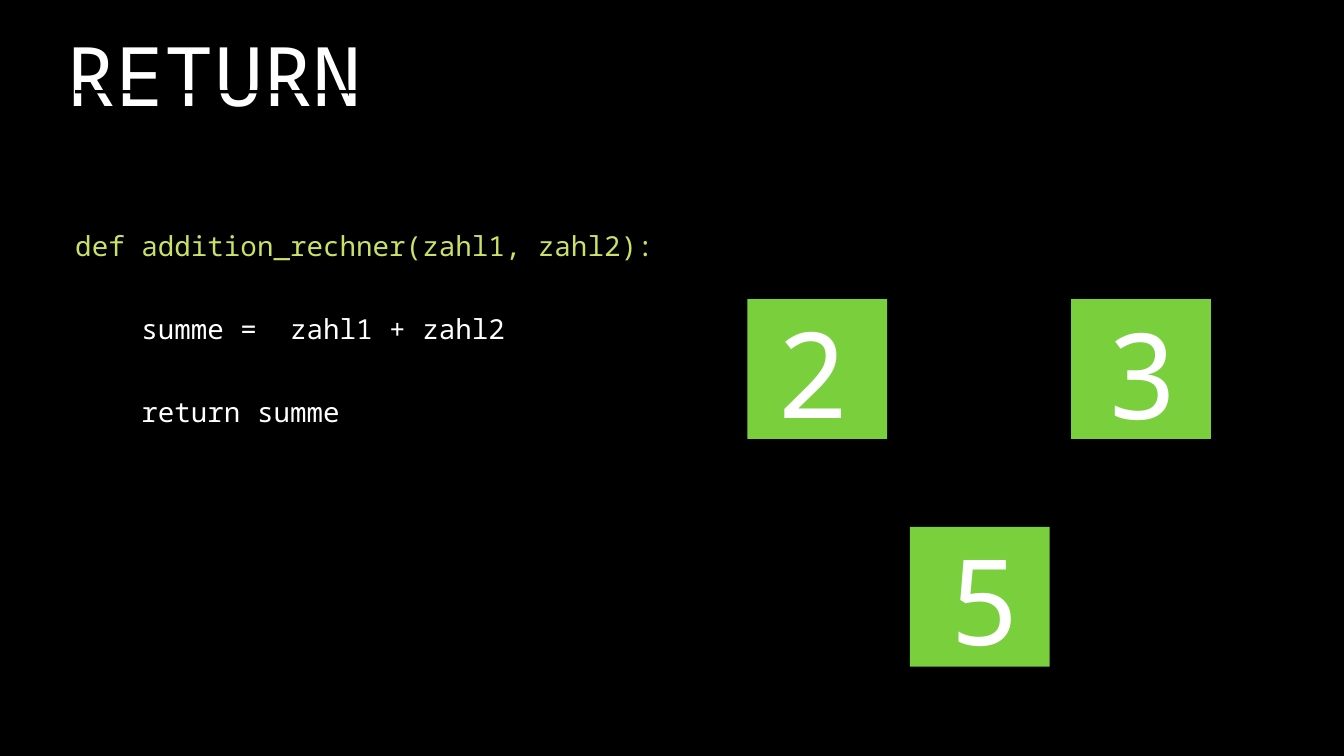
from dataclasses import dataclass

from pptx import Presentation
from pptx import util as u
from pptx.dml.color import RGBColor
from pptx.enum import shapes, text


@dataclass(frozen=True)
class Theme:
    font: str = "Noto Sans Mono"
    background: RGBColor = RGBColor(0x00, 0x00, 0x00)
    plain: RGBColor = RGBColor(0xFF, 0xFF, 0xFF)
    signature: RGBColor = RGBColor(0xC9, 0xE2, 0x65)
    square: RGBColor = RGBColor(0x79, 0xCF, 0x3C)
    title_size: float = 88
    title_line: float = 96.8
    code_size: float = 29.5
    code_line: float = 44.3
    digit_size: float = 127.6
    digit_line: float = 153.1


@dataclass(frozen=True)
class Box:
    left: float
    top: float
    width: float
    height: float

    def lengths(self) -> list:
        return [u.Inches(n) for n in (self.left, self.top, self.width, self.height)]


@dataclass(frozen=True)
class Line:
    words: str
    color: RGBColor


@dataclass(frozen=True)
class NumberTile:
    """A digit over a square; the digit has its own, slightly shifted box."""
    digit: str
    square_left: float
    square_top: float
    digit_left: float
    digit_top: float


THEME = Theme()
SQUARE_SIDE = 2.08
DIGIT_WIDTH, DIGIT_HEIGHT = 1.08, 2.1
TITLE_BOX = Box(0.99, 0.49, 5.13, 1.37)
TITLE_CUT = Box(1.12, 1.34, 9.16, 0.05)
CODE_BOX = Box(1.12, 3.29, 9.16, 3.67)

CODE = [
    Line("def addition_rechner(zahl1, zahl2):", THEME.signature),
    Line("    summe =  zahl1 + zahl2", THEME.plain),
    Line("    return summe", THEME.plain),
]
TILES = [
    NumberTile("2", 11.12, 4.45, 11.54, 4.45),
    NumberTile("3", 15.94, 4.45, 16.46, 4.47),
    NumberTile("5", 13.54, 7.84, 14.12, 7.83),
]


def add_rect(slide, box: Box, color: RGBColor) -> None:
    sp = slide.shapes.add_shape(shapes.MSO_SHAPE.RECTANGLE, *box.lengths())
    sp.shadow.inherit = False
    sp.fill.solid()
    sp.fill.fore_color.rgb = color
    sp.line.fill.background()


def add_text(slide, box: Box, lines: list[Line], size: float, line_height: float,
             align=text.PP_ALIGN.LEFT, gap: float = 0) -> None:
    """Add one paragraph per line, with gap points between paragraphs."""
    tf = slide.shapes.add_textbox(*box.lengths()).text_frame
    frame = dict(word_wrap=True, margin_left=0, margin_top=0,
                 margin_right=0, margin_bottom=0)
    for name, value in frame.items():
        setattr(tf, name, value)
    for i, line in enumerate(lines):
        p = tf.paragraphs[0] if i == 0 else tf.add_paragraph()
        layout = dict(alignment=align, line_spacing=u.Pt(line_height),
                      space_before=u.Pt(gap if i else 0))
        for name, value in layout.items():
            setattr(p, name, value)
        r = p.add_run()
        r.text = line.words
        for name, value in dict(name=THEME.font, size=u.Pt(size)).items():
            setattr(r.font, name, value)
        r.font.color.rgb = line.color


def add_tile(slide, tile: NumberTile) -> None:
    add_rect(slide, Box(tile.square_left, tile.square_top, SQUARE_SIDE, SQUARE_SIDE),
             THEME.square)
    add_text(slide, Box(tile.digit_left, tile.digit_top, DIGIT_WIDTH, DIGIT_HEIGHT),
             [Line(tile.digit, THEME.plain)], THEME.digit_size, THEME.digit_line,
             align=text.PP_ALIGN.CENTER)


def main() -> None:
    prs = Presentation()
    prs.slide_width, prs.slide_height = u.Inches(20), u.Inches(11.25)
    s = prs.slides.add_slide(prs.slide_layouts[6])
    s.background.fill.solid()
    s.background.fill.fore_color.rgb = THEME.background

    add_text(s, TITLE_BOX, [Line("RETURN", THEME.plain)],
             THEME.title_size, THEME.title_line)
    add_rect(s, TITLE_CUT, THEME.background)
    add_text(s, CODE_BOX, CODE, THEME.code_size, THEME.code_line, gap=THEME.code_line)
    for tile in TILES:
        add_tile(s, tile)

    prs.save("out.pptx")


if __name__ == "__main__":
    main()
